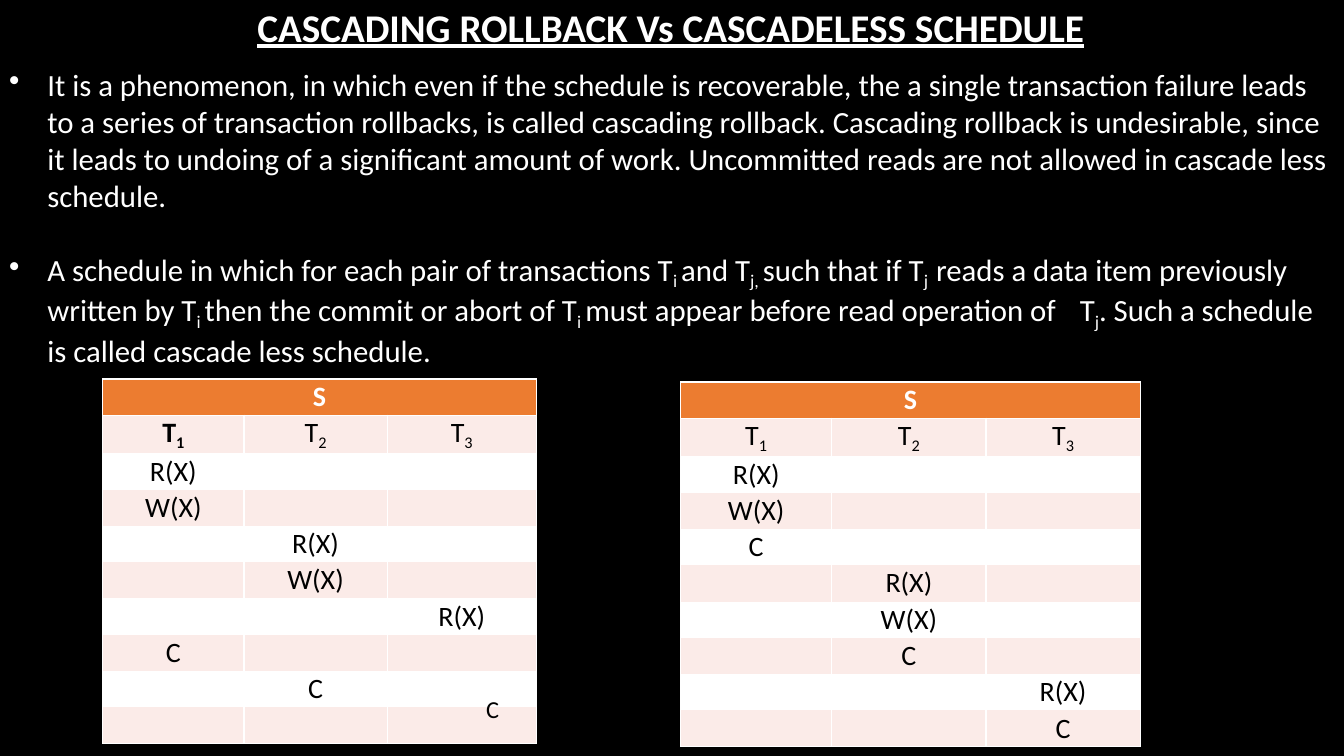
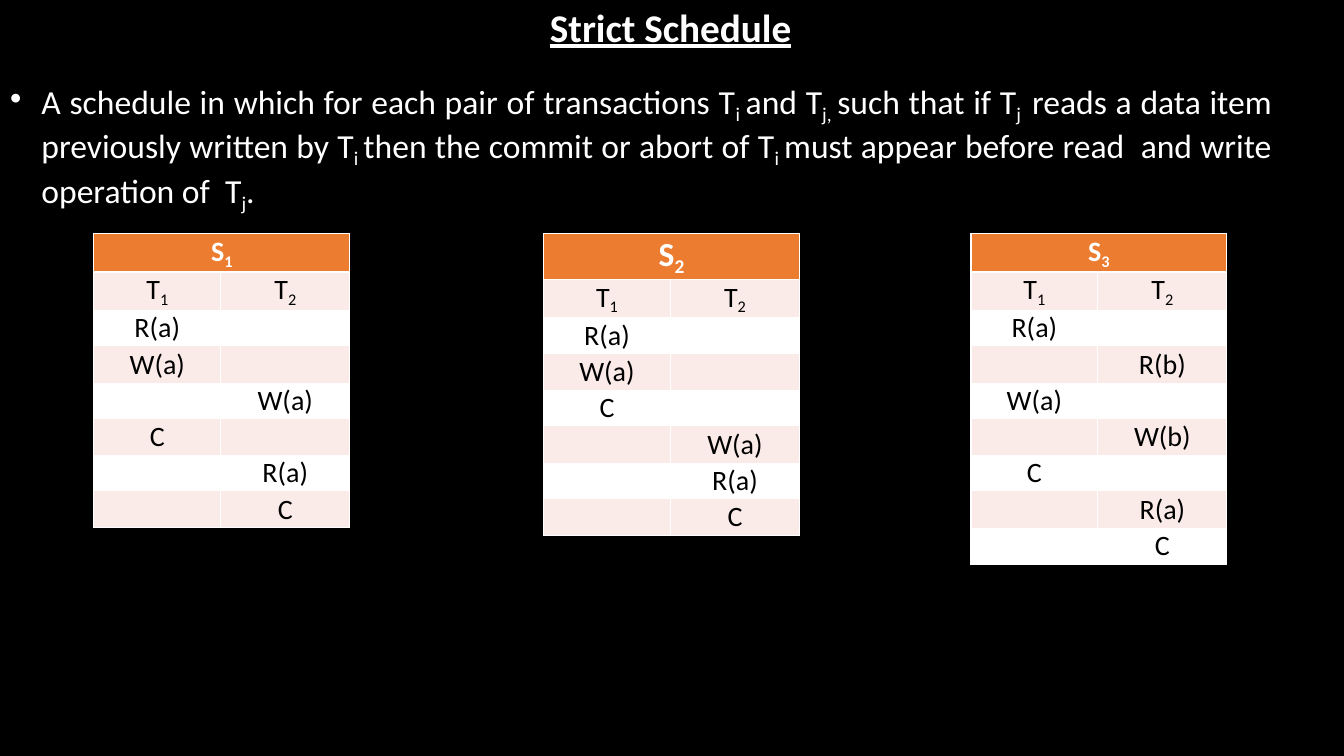
from lxml import etree
from pptx import Presentation
from pptx.dml.color import RGBColor
from pptx.enum.text import PP_ALIGN
from pptx.oxml.ns import qn
from pptx.util import Inches, Pt

WIDTH, HEIGHT = Inches(13.33), Inches(7.5)
LEFT, CENTER, JUSTIFY = PP_ALIGN.LEFT, PP_ALIGN.CENTER, PP_ALIGN.JUSTIFY
FONT = "Calibri"
BLACK, WHITE, ORANGE, PINK = "000000", "FFFFFF", "EC7C30", "FBEBE8"
PLAIN_TABLE = "{2D5ABB26-0587-4C30-8999-92F81FD0307C}"
SUBSCRIPT, RAISED = -21, 29
INSET = Inches(0.02)
ROW = 4.8  # table row, percent of the slide height


def color(code):
    return RGBColor.from_string(code)


def across(percent):
    return round(WIDTH * percent / 100)


def down(percent):
    return round(HEIGHT * percent / 100)


def place(box):
    """Turn a box given in percent of the slide into lengths."""
    left, top, width, height = box
    return across(left), down(top), across(width), down(height)


# Text
def add_span(para, text, size, code, bold=False, shift=0):
    span = para.add_run()
    span.text = text
    font = span.font
    font.name, font.size, font.bold = FONT, Pt(size), bold
    font.color.rgb = color(code)
    if shift:
        font._element.set("baseline", str(shift * 1000))
    return span


def write(para, text, size, code, bold=False):
    """Add the text run by run; parts between bars are subscripts."""
    for index, part in enumerate(text.split("|")):
        if part:
            add_span(para, part, size, code, bold, SUBSCRIPT if index % 2 else 0)


def add_text_box(page, box):
    frame = page.shapes.add_textbox(*place(box)).text_frame
    frame.word_wrap = True
    frame.margin_left = frame.margin_right = frame.margin_bottom = 0
    frame.margin_top = INSET
    return frame


def add_title(page, text):
    para = add_text_box(page, (0, 0.13, 99.8, 7)).paragraphs[0]
    para.alignment = CENTER
    add_span(para, text, 28, WHITE, True).font.underline = True


def set_bullet(para, margin, hanging, tab=None):
    props = para._p.get_or_add_pPr()
    props.set("marL", str(Inches(margin)))
    props.set("indent", str(-Inches(hanging)))
    etree.SubElement(props, qn("a:buChar")).set("char", "•")
    if tab:
        stop = etree.SubElement(etree.SubElement(props, qn("a:tabLst")), qn("a:tab"))
        stop.set("pos", str(Inches(tab)))
        stop.set("algn", "l")


def add_bullets(page, box, texts, size, margin, hanging, align=LEFT, tab=None):
    frame = add_text_box(page, box)
    for index, text in enumerate(texts):
        para = frame.add_paragraph() if index else frame.paragraphs[0]
        para.alignment = align
        para.space_before = Pt(size * 1.2 if index else 0)
        set_bullet(para, margin, hanging, tab)
        write(para, text, size, WHITE)


# Schedule tables
def add_border(cell, side):
    line = etree.SubElement(cell._tc.get_or_add_tcPr(), qn("a:ln" + side))
    line.set("w", str(Pt(1)))
    fill = etree.SubElement(line, qn("a:solidFill"))
    etree.SubElement(fill, qn("a:srgbClr")).set("val", WHITE)


def style_cell(cell, row, last):
    cell.margin_left = cell.margin_right = cell.margin_bottom = 0
    cell.margin_top = Inches(0.01)
    sides = "LR" + ("T" if row < 2 else "") + ("B" if row in (0, last) else "")
    for side in sides:
        add_border(cell, side)
    cell.fill.solid()
    cell.fill.fore_color.rgb = color(ORANGE if row == 0 else PINK if row % 2 else WHITE)


def write_cell(cell, text, size=20, code=BLACK, bold=False):
    para = cell.text_frame.paragraphs[0]
    para.alignment = CENTER
    write(para, text, size, code, bold)


def add_schedule(page, origin, width, columns, name, steps, head_row=ROW,
                 head_size=20, bold_first=False):
    """Draw a schedule; each step is (transaction number, operation)."""
    count = len(steps) + 2
    box = (*origin, width, head_row + ROW * (count - 1))
    table = page.shapes.add_table(count, len(columns), *place(box)).table
    table._tbl.tblPr.find(qn("a:tableStyleId")).text = PLAIN_TABLE
    for column, share in zip(table.columns, columns):
        column.width = across(width * share / sum(columns))
    for index, row in enumerate(table.rows):
        row.height = down(ROW if index else head_row)
        for cell in row.cells:
            style_cell(cell, index, count - 1)
    table.cell(0, 0).merge(table.cell(0, len(columns) - 1))
    write_cell(table.cell(0, 0), name, head_size, WHITE, True)
    for index in range(len(columns)):
        write_cell(table.cell(1, index), f"T|{index + 1}|",
                   bold=bold_first and index == 0)
    for index, (number, operation) in enumerate(steps, 2):
        write_cell(table.cell(index, number - 1), operation)
    return table


def add_raised_commit(cell):
    cell.margin_top = Inches(0.1)
    para = cell.text_frame.paragraphs[0]
    para.line_spacing = Pt(17.4)
    para._p.get_or_add_pPr().set("marL", str(Inches(0.61)))
    add_span(para, "C", 30, BLACK, shift=RAISED)


# Slides
def add_page(deck, title):
    page = deck.slides.add_slide(deck.slide_layouts[6])
    page.background.fill.solid()
    page.background.fill.fore_color.rgb = color(BLACK)
    add_title(page, title)
    return page


def add_cascading_page(deck):
    page = add_page(deck, "CASCADING ROLLBACK Vs CASCADELESS SCHEDULE")
    texts = [
        "It is a phenomenon, in which even if the schedule is recoverable, the a single "
        "transaction failure leads to a series of transaction rollbacks, is called "
        "cascading rollback. Cascading rollback is undesirable, since it leads to undoing "
        "of a significant amount of work. Uncommitted reads are not allowed in cascade "
        "less schedule.",
        "A schedule in which for each pair of transactions T|i |and T|j, |such that if "
        "T|j  |reads a data item previously written by T|i |then the commit or abort of "
        "T|i |must appear before read operation of\tT|j|. Such a schedule is called "
        "cascade less schedule.",
    ]
    add_bullets(page, (0.3, 8.4, 99, 39.5), texts, 22, 0.43, 0.38, tab=10.67)
    cascading = add_schedule(
        page, (7.65, 50.13), 32.26, (1.4, 1.42, 1.48), "S",
        [(1, "R(X)"), (1, "W(X)"), (2, "R(X)"), (2, "W(X)"), (3, "R(X)"),
         (1, "C"), (2, "C"), (3, "")], bold_first=True)
    add_raised_commit(cascading.cell(9, 2))
    add_schedule(
        page, (50.64, 50.53), 34.2, (1.5, 1.53, 1.53), "S",
        [(1, "R(X)"), (1, "W(X)"), (1, "C"), (2, "R(X)"), (2, "W(X)"),
         (2, "C"), (3, "R(X)"), (3, "C")])


def add_strict_page(deck):
    page = add_page(deck, "Strict Schedule")
    text = ("A schedule in which for each pair of transactions T|i |and T|j, |such that "
            "if T|j  |reads a data item previously written by T|i |then the commit or "
            "abort of T|i |must appear before read  and write operation of  T|j|.")
    add_bullets(page, (0.53, 10.4, 94.1, 16.4), [text], 24, 0.34, 0.31, JUSTIFY)
    schedules = [
        (6.98, "S|1|", ROW, 20,
         [(1, "R(a)"), (1, "W(a)"), (2, "W(a)"), (1, "C"), (2, "R(a)"), (2, "C")]),
        (40.44, "S|2|", 5.73, 24,
         [(1, "R(a)"), (1, "W(a)"), (1, "C"), (2, "W(a)"), (2, "R(a)"), (2, "C")]),
        (72.24, "S|3|", ROW, 20,
         [(1, "R(a)"), (2, "R(b)"), (1, "W(a)"), (2, "W(b)"), (1, "C"),
          (2, "R(a)"), (2, "C")]),
    ]
    for left, name, head_row, head_size, steps in schedules:
        add_schedule(page, (left, 30.93), 19.05, (1.26, 1.28), name, steps,
                     head_row, head_size)


def main():
    deck = Presentation()
    deck.slide_width, deck.slide_height = WIDTH, HEIGHT
    add_cascading_page(deck)
    add_strict_page(deck)
    deck.save("out.pptx")


if __name__ == "__main__":
    main()
